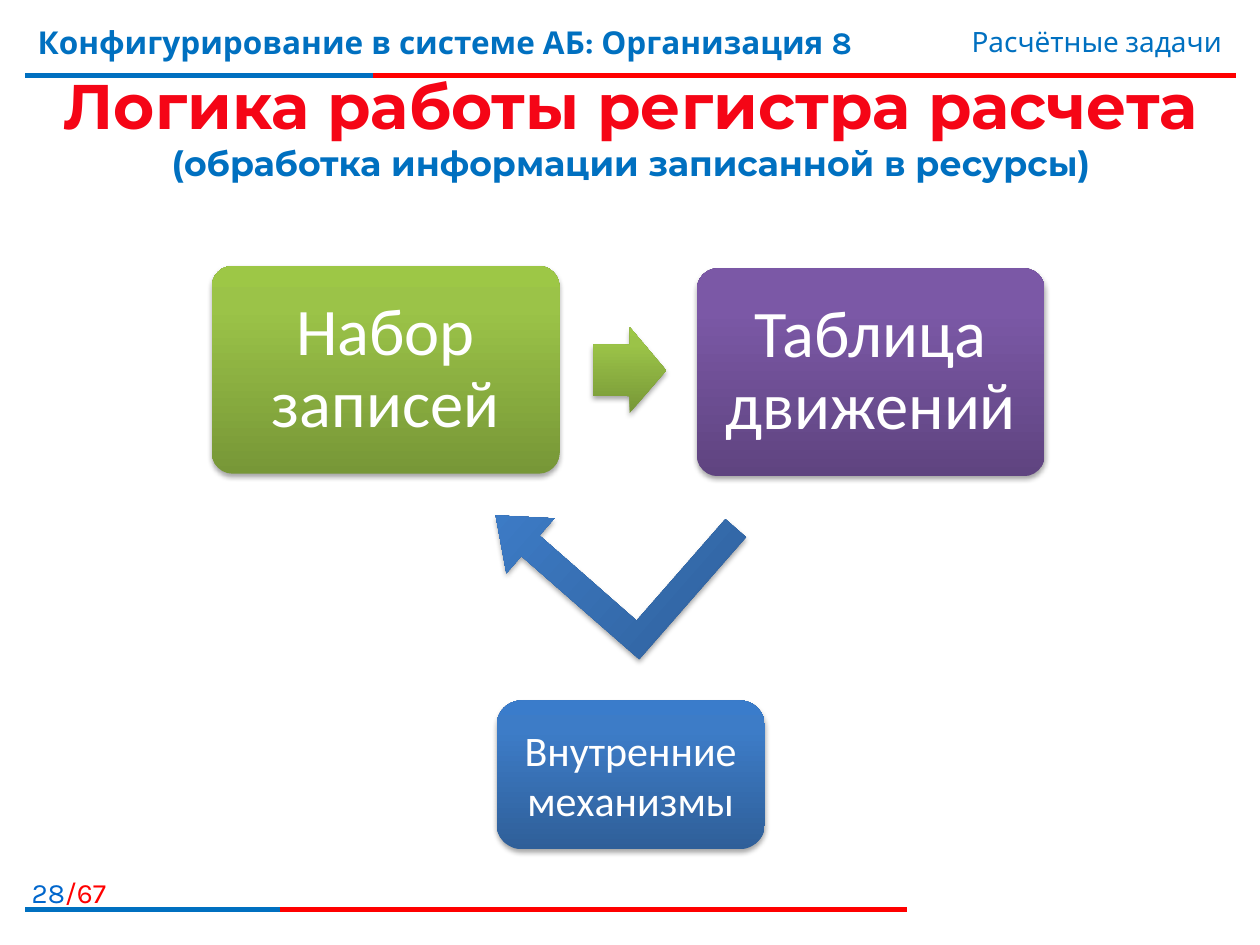
"""Build the slide about the logic of the calculation register."""
from lxml.etree import SubElement
from pptx import Presentation
from pptx.dml.color import RGBColor
from pptx.enum.shapes import MSO_CONNECTOR, MSO_SHAPE
from pptx.enum.text import MSO_ANCHOR, PP_ALIGN
from pptx.oxml import parse_xml
from pptx.oxml.ns import nsdecls, qn
from pptx.util import Cm, Pt

COLORS = {"red": "FF0000", "blue": "0070C0", "page": "0066CC", "white": "FFFFFF"}
GRADIENTS = {
    "green": [(0, "779737"), (80, "9BC348"), (100, "9DC746")],
    "purple": [(0, "5F4480"), (80, "7B58A6"), (100, "7C57A8")],
    "blue": [(0, "2F5F99"), (80, "3D7CC7"), (100, "3A7CCB")],
    "title": [(55, "F50516"), (86, "C00000")],
}


def set_gradient(fill, element, name, angle):
    fill.gradient()
    fill.gradient_angle = angle
    stops = element.find(".//" + qn("a:gsLst"))
    stops.clear()
    for pos, color in GRADIENTS[name]:
        gs = SubElement(stops, qn("a:gs"), pos=str(pos * 1000))
        SubElement(gs, qn("a:srgbClr"), val=color)


def add_run(p, text, font, size, color, bold=False):
    r = p.add_run()
    r.text = text
    r.font.name, r.font.size, r.font.bold = font, Pt(size), bold
    r.font.color.rgb = RGBColor.from_string(COLORS[color])
    return r


prs = Presentation()
prs.slide_width, prs.slide_height = Cm(25.4), Cm(19.05)
slide = prs.slides.add_slide(prs.slide_layouts[5])

rules = [
    (1.52, 24.92, "red"),
    (1.52, 7.52, "blue"),
    (18.34, 18.29, "red"),
    (18.34, 5.64, "blue"),
]
for y, right, color in rules:
    s = slide.shapes.add_connector(MSO_CONNECTOR.STRAIGHT, Cm(0.51), Cm(y), Cm(right), Cm(y))
    s.line.width = Pt(3)
    s.line.color.rgb = RGBColor.from_string(COLORS[color])
    SubElement(s._element.spPr, qn("a:effectLst"))

labels = [
    ((0, 17.53, 2.39, 0.81), PP_ALIGN.RIGHT, 16, False, [("28", "page"), ("/67", "red")]),
    ((0.51, 0.33, 18.8, 1.57), PP_ALIGN.LEFT, 18, True,
     [("Конфигурирование в системе АБ: Организация 8", "blue")]),
    ((15.09, 0.38, 9.8, 0.94), PP_ALIGN.RIGHT, 16, False, [("Расчётные задачи", "blue")]),
]
for box, align, size, bold, runs in labels:
    tf = slide.shapes.add_textbox(*map(Cm, box)).text_frame
    tf.word_wrap = True
    p = tf.paragraphs[0]
    p.alignment = align
    for text, color in runs:
        add_run(p, text, "Karla", size, color, bold)

s = slide.shapes.title
s.left, s.top, s.width, s.height = Cm(0.51), Cm(1.52), Cm(24.41), Cm(2.01)
tf = s.text_frame
tf.vertical_anchor = MSO_ANCHOR.MIDDLE
p = tf.paragraphs[0]
p.alignment = PP_ALIGN.CENTER
r = add_run(p, "Логика работы регистра расчета", "Montserrat", 36, "red", True)
set_gradient(r.font.fill, r._r, "title", 270)
r._r.rPr.insert(0, parse_xml(
    f'<a:ln {nsdecls("a")} w="9525"><a:solidFill><a:srgbClr val="{COLORS["white"]}"/>'
    "</a:solidFill></a:ln>"))
p.add_line_break()
add_run(p, "(обработка информации записанной в ресурсы)", "Montserrat", 19.8, "blue", True)

ROUND = MSO_SHAPE.ROUNDED_RECTANGLE
figures = [
    (ROUND, (4.27, 5.36, 7.01, 4.19), [0.1], 0, "green", "Набор записей", 38, 0.9),
    (MSO_SHAPE.RIGHT_ARROW, (11.96, 6.6, 1.47, 1.73), [0.6, 0.5], 0.2, "green", "", 0, 1),
    (ROUND, (14.05, 5.41, 7.01, 4.19), [0.1], 0, "purple", "Таблица движений", 38, 0.9),
    (MSO_SHAPE.BENT_UP_ARROW, (10.41, 8.84, 3.73, 4.09), [0.148, 0.197, 0.25], 311.2,
     "blue", "", 0, 1),
    (ROUND, (10.01, 14.12, 5.41, 3), [0.17], 0, "blue", "Внутренние механизмы", 24, 1),
]
for kind, box, adjustments, rotation, color, text, size, spacing in figures:
    s = slide.shapes.add_shape(kind, *map(Cm, box))
    for i, value in enumerate(adjustments):
        s.adjustments[i] = value
    s.rotation = rotation
    if kind == MSO_SHAPE.BENT_UP_ARROW:
        s._element.spPr.xfrm.set("flipH", "1")
    set_gradient(s.fill, s._element, color, 90)
    s.line.fill.background()
    s.shadow.inherit = False
    s._element.spPr.find(qn("a:effectLst")).append(parse_xml(
        f'<a:outerShdw {nsdecls("a")} blurRad="39370" dist="22860" dir="5400000" '
        'rotWithShape="0"><a:srgbClr val="000000"><a:alpha val="35000"/></a:srgbClr>'
        "</a:outerShdw>"))
    if text:
        tf = s.text_frame
        tf.word_wrap = True
        tf.vertical_anchor = MSO_ANCHOR.MIDDLE
        tf.margin_left = tf.margin_right = Cm(0.4)
        p = tf.paragraphs[0]
        p.alignment = PP_ALIGN.CENTER
        p.line_spacing = spacing
        add_run(p, text, "Calibri", size, "white")

prs.save("out.pptx")
